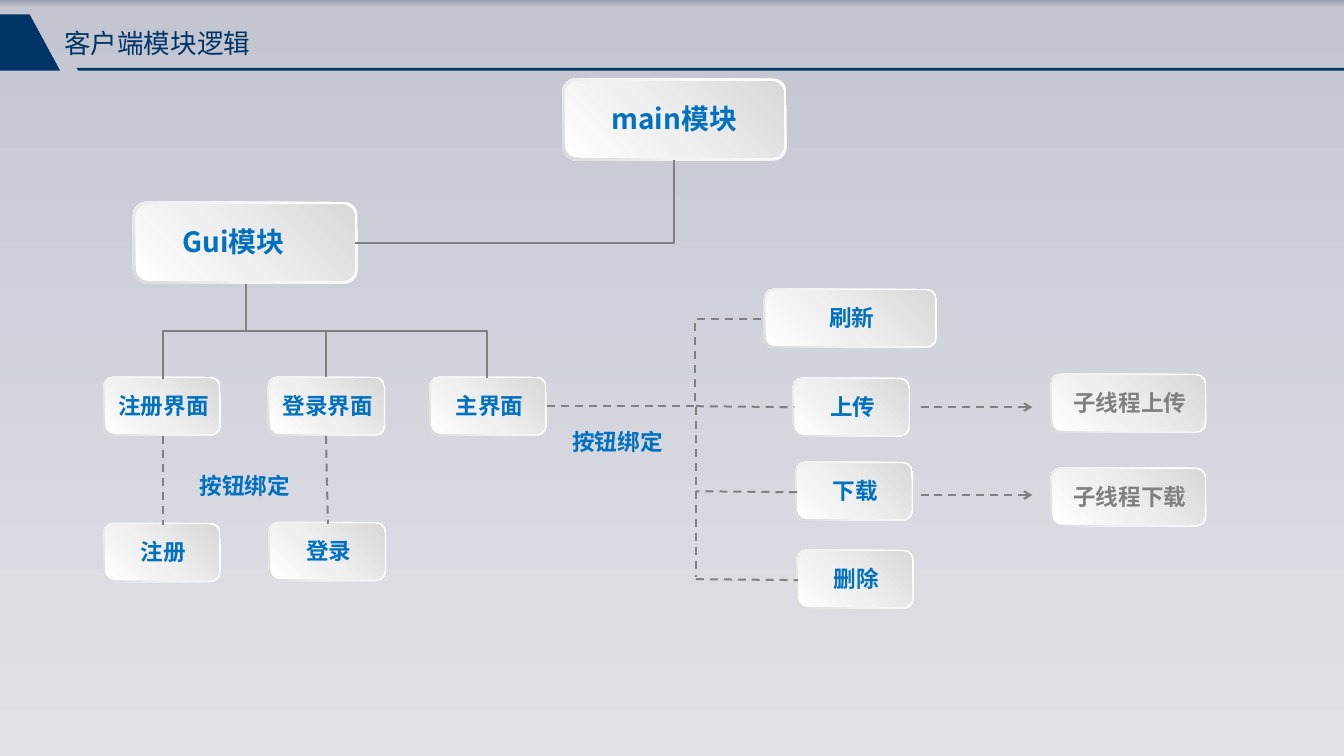
from pptx import Presentation
from pptx.dml.color import RGBColor
from pptx.enum.dml import MSO_LINE
from pptx.enum.shapes import MSO_CONNECTOR as LINK, MSO_SHAPE
from pptx.enum.text import MSO_ANCHOR, PP_ALIGN
from pptx.oxml.ns import qn
from pptx.util import Inches, Pt
from lxml.etree import SubElement

NAVY = RGBColor(0x00, 0x33, 0x66)
BLUE = RGBColor(0x00, 0x70, 0xC0)
GRAY = RGBColor(0x80, 0x80, 0x80)
BACKDROP = [(0, "9BA0B4"), (1, "C3C6D0"), (100, "E2E3E8")]
RIM = [(0, "FFFFFF"), (62, "F2F2F2"), (100, "D9D9D9")]
FACE = [(0, "FFFFFF"), (42, "F0F0F0"), (100, "D9D9D9")]
TITLE_FONT, CARD_FONT = "Arial", "Noto Sans CJK SC"

TITLE = "客户端模块逻辑"
HEADER_BAR = [(0.8, 0.71), (14.06, 0.71), (14.06, 0.74), (0.82, 0.74)]
HEADER_TAB = [(0.31, 0.15), (0.63, 0.74), (0, 0.74), (0, 0.15)]

# text, left, top
MODULES = [("main模块", 5.88, 0.82), ("Gui模块", 1.39, 2.11)]
# text, left, top, width, colour
STEPS = [
    ("注册界面", 1.08, 3.94, 1.23, BLUE),
    ("登录界面", 2.8, 3.94, 1.23, BLUE),
    ("主界面", 4.49, 3.94, 1.23, BLUE),
    ("注册", 1.08, 5.47, 1.23, BLUE),
    ("登录", 2.81, 5.46, 1.23, BLUE),
    ("刷新", 7.99, 3.02, 1.81, BLUE),
    ("上传", 8.29, 3.95, 1.23, BLUE),
    ("下载", 8.32, 4.83, 1.23, BLUE),
    ("删除", 8.33, 5.75, 1.23, BLUE),
    ("子线程上传", 10.99, 3.91, 1.63, GRAY),
    ("子线程下载", 10.99, 4.89, 1.63, GRAY),
]
BINDING = "按钮绑定"
BINDING_SPOTS = [(5.45, 4.35), (1.55, 4.81)]

# start and end of each link
CORNERS = [((3.71, 2.54), (7.05, 1.68)), ((2.17, 3.46), (3.41, 3.94)),
           ((2.57, 3.46), (5.1, 3.96))]
GUI_TO_REGISTER = ((2.57, 2.97), (1.7, 3.96))
HOME_TO_REFRESH = ((5.72, 4.25), (8.01, 3.34))
DASHES = [((1.7, 4.56), (1.7, 5.49)), ((3.41, 4.56), (3.43, 5.48)),
          ((7.28, 4.25), (8.31, 4.26)), ((7.28, 4.26), (7.28, 6.04)),
          ((7.28, 6.06), (8.35, 6.07)), ((8.34, 5.15), (7.28, 5.14))]
THREAD_ARROWS = [((9.63, y), (10.8, y)) for y in (4.26, 5.18)]


def paint_gradient(fill, owner, stops, angle):
    """Give a fill its stops (percent, hex); the angle runs clockwise."""
    fill.gradient()
    fill.gradient_angle = 360 - angle
    stop_list = next(owner.iter(qn("a:gsLst")))
    for old in list(stop_list):
        stop_list.remove(old)
    for percent, color in stops:
        stop = SubElement(stop_list, qn("a:gs"), pos=str(percent * 1000))
        SubElement(stop, qn("a:srgbClr"), val=color)


def write(frame, text, size, font, color, bold=False, align=PP_ALIGN.CENTER):
    frame.word_wrap = True
    frame.vertical_anchor = MSO_ANCHOR.MIDDLE
    line = frame.paragraphs[0]
    line.alignment = align
    run = line.add_run()
    run.text = text
    run.font.size, run.font.name, run.font.bold = Pt(size), font, bold
    run.font.color.rgb = color
    SubElement(run.font._element, qn("a:ea"), typeface=font)


def add_caption(shapes, box, *style, **options):
    caption = shapes.add_textbox(*map(Inches, box))
    write(caption.text_frame, *style, **options)


def add_plate(shapes, box, stops, angle):
    plate = shapes.add_shape(MSO_SHAPE.ROUNDED_RECTANGLE, *map(Inches, box))
    plate.shadow.inherit = False
    plate.line.fill.background()
    paint_gradient(plate.fill, plate._element.spPr, stops, angle)


def add_card(left, top, width, height, edge):
    """Add a grouped rim and face; return the group's shapes."""
    shapes = slide.shapes.add_group_shape().shapes
    add_plate(shapes, (left, top, width, height), RIM, 135)
    add_plate(shapes, (left + edge, top + edge, width - 2 * edge, height - 2 * edge), FACE, 315)
    return shapes


def add_link(start, end, kind=LINK.STRAIGHT, dashed=False):
    link = slide.shapes.add_connector(kind, *map(Inches, (*start, *end)))
    link.line.color.rgb = GRAY
    link.line.width = Pt(1.5)
    if dashed:
        link.line.dash_style = MSO_LINE.DASH
    SubElement(link._element.spPr, qn("a:effectLst"))
    return link


def add_drop(start, end):
    """Add an elbow that leaves and arrives vertically: a quarter-turned one."""
    (x1, y1), (x2, y2) = start, end
    mid_x, mid_y = (x1 + x2) / 2, (y1 + y2) / 2
    dx, dy = (x2 - x1) / 2, (y2 - y1) / 2
    link = add_link((mid_x - dy, mid_y + dx), (mid_x + dy, mid_y - dx), LINK.ELBOW)
    link._element.spPr.find(qn("a:xfrm")).set("rot", str(90 * 60000))


def add_outline(points):
    corners = [(Inches(x), Inches(y)) for x, y in points]
    builder = slide.shapes.build_freeform(*corners[0])
    builder.add_line_segments(corners[1:], close=True)
    outline = builder.convert_to_shape()
    outline.shadow.inherit = False
    outline.fill.solid()
    outline.fill.fore_color.rgb = NAVY
    outline.line.fill.background()


prs = Presentation()
prs.slide_width, prs.slide_height = Inches(14.06), Inches(7.91)
slide = prs.slides.add_slide(prs.slide_layouts[5])
paint_gradient(slide.background.fill, slide._element, BACKDROP, 90)

for points in (HEADER_BAR, HEADER_TAB):
    add_outline(points)

title = slide.shapes.title
title.left, title.top, title.width, title.height = map(Inches, (0.67, 0.28, 3.35, 0.34))
heading = title.text_frame
heading.margin_left = heading.margin_right = heading.margin_top = heading.margin_bottom = 0
write(heading, TITLE, 20, TITLE_FONT, NAVY, align=PP_ALIGN.LEFT)

for text, left, top in MODULES:
    card = add_card(left, top, 2.35, 0.86, 0.03)
    add_caption(card, (left + 0.42, top + 0.15, 1.67, 0.54), text, 21, CARD_FONT, BLUE,
                bold=True, align=PP_ALIGN.LEFT)

for text, left, top, width, color in STEPS:
    card = add_card(left, top, width, 0.62, 0.02)
    add_caption(card, (left + 0.04, top + 0.03, width - 0.05, 0.54), text, 17, CARD_FONT,
                color, bold=True)

for start, end in CORNERS:
    corner = add_link(start, end, LINK.ELBOW)
    corner._element.spPr.find(qn("a:prstGeom")).set("prst", "bentConnector2")

add_drop(*GUI_TO_REGISTER)

refresh = add_link(*HOME_TO_REFRESH, LINK.ELBOW, dashed=True)
bends = next(refresh._element.iter(qn("a:avLst")))
SubElement(bends, qn("a:gd"), name="adj1", fmla="val 67800")

for start, end in DASHES:
    add_link(start, end, dashed=True)

for start, end in THREAD_ARROWS:
    arrow = add_link(start, end, dashed=True)
    SubElement(next(arrow._element.iter(qn("a:ln"))), qn("a:tailEnd"), type="arrow")

for left, top in BINDING_SPOTS:
    add_caption(slide.shapes, (left, top, 2.02, 0.54), BINDING, 17, CARD_FONT, BLUE, bold=True)

prs.save("out.pptx")
